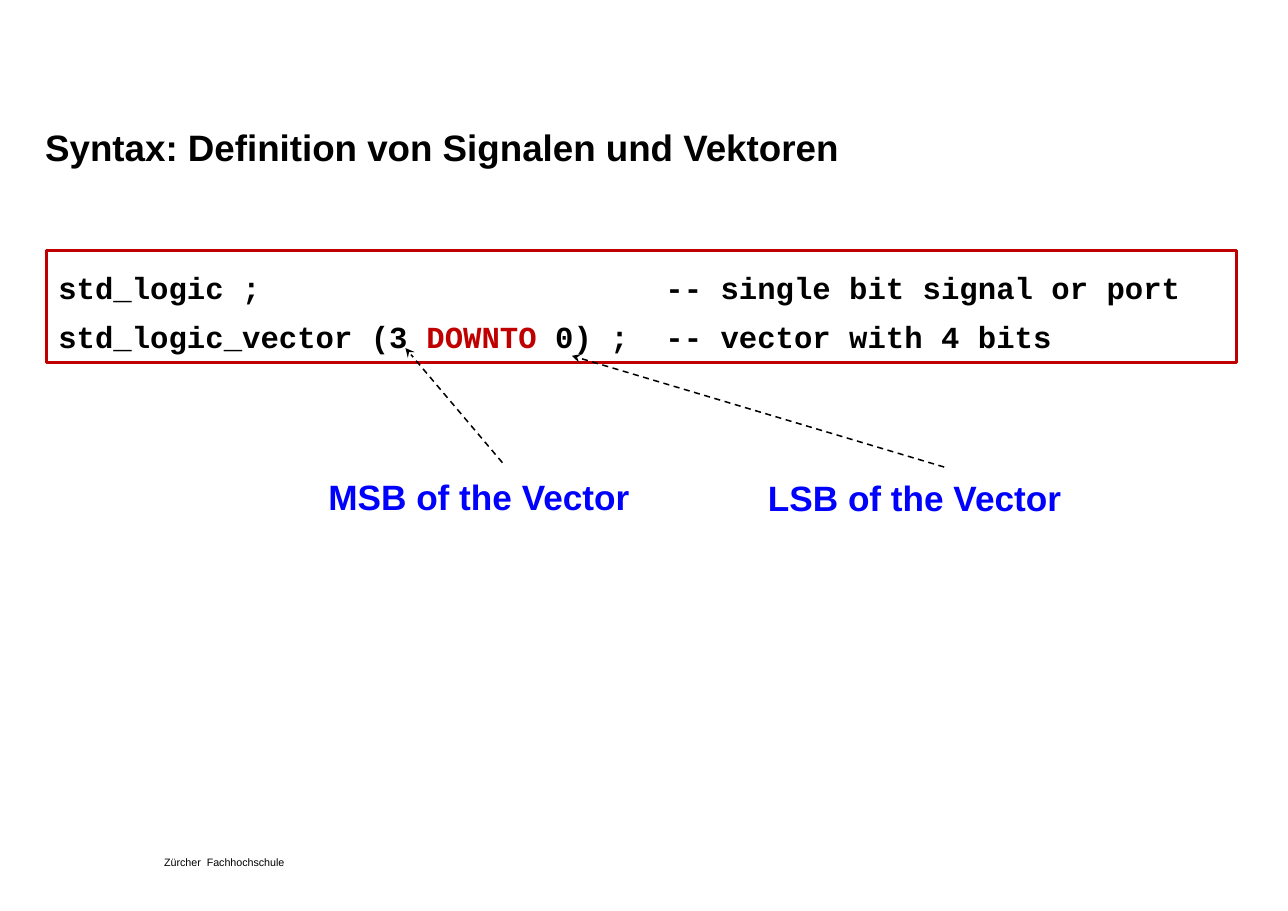
from pptx import Presentation
from pptx.dml.color import RGBColor
from pptx.enum.dml import MSO_LINE
from pptx.enum.shapes import MSO_CONNECTOR, MSO_SHAPE
from pptx.enum.text import MSO_ANCHOR, PP_ALIGN
from pptx.oxml.ns import qn
from pptx.util import Inches, Pt
from lxml.etree import SubElement

COLORS = {"black": "000000", "red": "C00000", "blue": "0000FF"}


def add_run(para, text, size, color="black", font="Arial", bold=True):
    run = para.add_run()
    run.text = text
    run.font.name = font
    run.font.size = Pt(size)
    run.font.bold = bold
    run.font.color.rgb = RGBColor.from_string(COLORS[color])


def set_frame(shape, pad_x, pad_y, space, wrap=True):
    frame = shape.text_frame
    frame.word_wrap = wrap
    frame.vertical_anchor = MSO_ANCHOR.TOP
    frame.margin_left = frame.margin_right = Inches(pad_x)
    frame.margin_top = frame.margin_bottom = Inches(pad_y)
    para = frame.paragraphs[0]
    para.alignment = PP_ALIGN.LEFT
    para.line_spacing = Pt(space)
    return para


deck = Presentation()
deck.slide_width = Inches(11.69)
deck.slide_height = Inches(8.27)
slide = deck.slides.add_slide(deck.slide_layouts[6])
shapes = slide.shapes

footer = shapes.add_textbox(Inches(1.49), Inches(7.79), Inches(1.32), Inches(0.1))
para = set_frame(footer, 0, 0, 7)
add_run(para, "Zürcher  Fachhochschule", 7, bold=False)

code = shapes.add_shape(
    MSO_SHAPE.RECTANGLE, Inches(0.42), Inches(2.27), Inches(10.8), Inches(1.02)
)
code.shadow.inherit = False
code.fill.background()
code.line.color.rgb = RGBColor.from_string(COLORS["red"])
code.line.width = Pt(2)
para = set_frame(code, 0.11, 0.06, 32)
tabs = SubElement(para._p.get_or_add_pPr(), qn("a:tabLst"))
SubElement(tabs, qn("a:tab"), pos=str(Inches(5.51)), algn="l")
add_run(para, "std_logic ;\t-- single bit signal or port", 20, font="Courier New")
para.add_line_break()
for text, color in [
    ("std_logic_vector (3 ", "black"),
    ("DOWNTO", "red"),
    (" 0) ;\t-- vector with 4 bits", "black"),
]:
    add_run(para, text, 20, color, "Courier New")

title = shapes.add_textbox(Inches(0.41), Inches(1.09), Inches(10.87), Inches(0.87))
para = set_frame(title, 0, 0, 32)
add_run(para, "Syntax: Definition von Signalen und Vektoren", 24)

for text, left, top, width, start, end in [
    ("MSB of the Vector", 2.87, 4.19, 2.99, (4.56, 4.2), (3.68, 3.16)),
    ("LSB of the Vector", 6.86, 4.2, 2.92, (8.57, 4.24), (5.19, 3.23)),
]:
    label = shapes.add_textbox(Inches(left), Inches(top), Inches(width), Inches(0.56))
    para = set_frame(label, 0.11, 0.06, 32, wrap=False)
    add_run(para, text, 23, "blue")

    points = [Inches(value) for value in start + end]
    arrow = shapes.add_connector(MSO_CONNECTOR.STRAIGHT, *points)
    arrow.line.color.rgb = RGBColor.from_string(COLORS["black"])
    arrow.line.width = Pt(1)
    arrow.line.dash_style = MSO_LINE.DASH
    SubElement(arrow.line._get_or_add_ln(), qn("a:tailEnd"), type="stealth")
    SubElement(arrow._element.spPr, qn("a:effectLst"))

deck.save("out.pptx")
